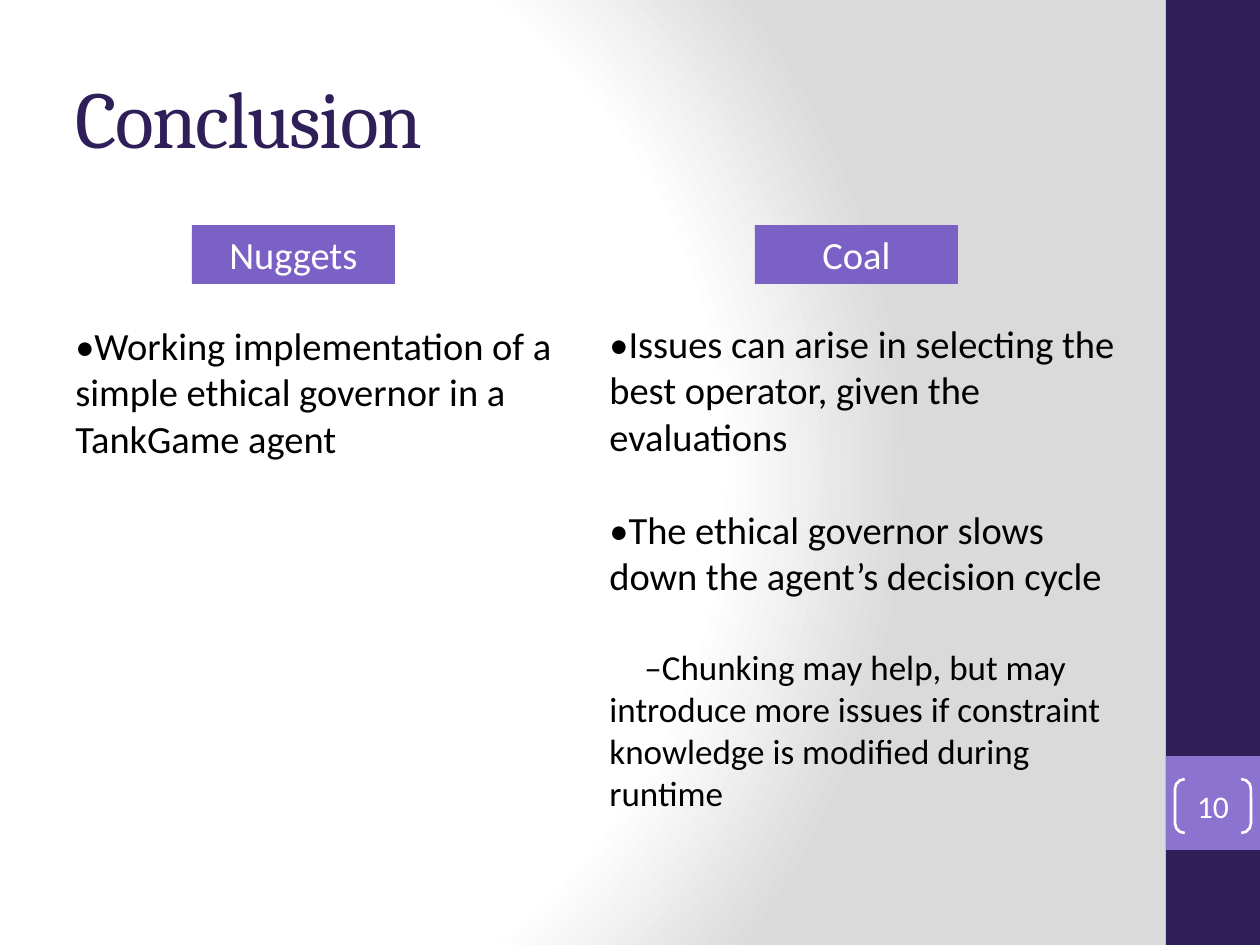
from pptx import Presentation
from pptx.dml.color import RGBColor
from pptx.enum.shapes import MSO_SHAPE as Shape
from pptx.enum.text import MSO_ANCHOR as Anchor, MSO_AUTO_SIZE as AutoSize, PP_ALIGN as Align
from pptx.oxml import parse_xml
from pptx.oxml.ns import nsdecls
from pptx.util import Emu, Pt

SCALE = 914400 / 126
WIDTH, HEIGHT = 1260, 945
DARK, MIDDLE, LIGHT, WHITE, BLACK = "2F1F58", "7B61C6", "8C73D0", "FFFFFF", "000000"
BACKDROP = [(0, WHITE), (75, WHITE), (100, "DADADA")]
BAR_LEFT, BAR_WIDTH, NUMBER_TOP = 1166, 94, 756
TAG_TOP, TAG_WIDTH, TAG_HEIGHT = 225, 203, 59

TITLE = "Conclusion"
PAGE_NUMBER = "10"
# Each point: text, size in points, first-line indent in px
COLUMNS = [
    {"tag": "Nuggets", "tag_left": 192, "box": (63, 316, 534, 152), "points": [
        ("•Working implementation of a simple ethical governor in a TankGame agent", 22, 0),
    ]},
    {"tag": "Coal", "tag_left": 755, "box": (597, 314, 548, 560), "points": [
        ("•Issues can arise in selecting the best operator, given the evaluations", 22, 0),
        ("•The ethical governor slows down the agent’s decision cycle", 22, 0),
        ("–Chunking may help, but may introduce more issues if constraint "
         "knowledge is modified during runtime", 20, 35),
    ]},
]
POINT_GAP = 27


def px(length):
    return Emu(round(length * SCALE))


def color(value):
    return RGBColor.from_string(value)


def write(para, text, size, ink, font="Calibri"):
    span = para.add_run()
    span.text = text
    for name, value in {"name": font, "size": Pt(size)}.items():
        setattr(span.font, name, value)
    span.font.color.rgb = color(ink)
    return span


def format_frame(frame, **formats):
    for name, value in {"word_wrap": True, "auto_size": AutoSize.NONE, **formats}.items():
        setattr(frame, name, value)


def add_block(page, kind, place, fill=None):
    block = page.shapes.add_shape(kind, *map(px, place))
    block.shadow.inherit = False
    block.line.fill.background()
    if fill:
        block.fill.solid()
        block.fill.fore_color.rgb = color(fill)
    else:
        block.fill.background()
    return block


def label(block, text, size, **formats):
    """Center one line of white text in a block."""
    format_frame(block.text_frame, **formats)
    para = block.text_frame.paragraphs[0]
    para.alignment = Align.CENTER
    write(para, text, size, WHITE)


def set_backdrop(page):
    """Radial gradient, which has no public method."""
    stops = "".join(f'<a:gs pos="{at * 1000}"><a:srgbClr val="{value}"/></a:gs>'
                    for at, value in BACKDROP)
    page.element.cSld.insert(0, parse_xml(
        f'<p:bg {nsdecls("p", "a")}><p:bgPr><a:gradFill rotWithShape="1">'
        f'<a:gsLst>{stops}</a:gsLst><a:path path="circle">'
        '<a:fillToRect l="20000" t="50000" r="100000" b="50000"/></a:path>'
        '</a:gradFill><a:effectLst/></p:bgPr></p:bg>'))


def add_title(page):
    title = page.shapes.title
    title.left, title.top, title.width, title.height = map(px, (63, 38, 1050, 157))
    format_frame(title.text_frame, vertical_anchor=Anchor.MIDDLE)
    para = title.text_frame.paragraphs[0]
    para.alignment = Align.LEFT
    span = write(para, TITLE, 46, DARK, "Cambria")
    span.font._element.set("spc", "-100")


def add_side_bar(page):
    add_block(page, Shape.RECTANGLE, (BAR_LEFT, 0, BAR_WIDTH, HEIGHT), DARK)
    add_block(page, Shape.RECTANGLE, (BAR_LEFT, NUMBER_TOP, BAR_WIDTH, BAR_WIDTH), LIGHT)
    bracket = add_block(page, Shape.DOUBLE_BRACKET, (1175, 779, 76, 54))
    bracket.adjustments[0] = 0.18
    bracket.line.color.rgb = color(WHITE)
    bracket.line.width = Pt(1.5)
    margins = {f"margin_{side}": 0 for side in ("left", "top", "right", "bottom")}
    label(bracket, PAGE_NUMBER, 18, vertical_anchor=Anchor.MIDDLE, **margins)


def add_column(page, column):
    box = page.shapes.add_textbox(*map(px, column["box"]))
    frame = box.text_frame
    format_frame(frame)
    for index, (text, size, indent) in enumerate(column["points"]):
        para = frame.add_paragraph() if index else frame.paragraphs[0]
        para.space_before = Pt(POINT_GAP if index else 0)
        if indent:
            para._p.get_or_add_pPr().set("indent", str(px(indent)))
        write(para, text, size, BLACK)
    tag = add_block(page, Shape.RECTANGLE,
                    (column["tag_left"], TAG_TOP, TAG_WIDTH, TAG_HEIGHT), MIDDLE)
    label(tag, column["tag"], 22, vertical_anchor=Anchor.TOP)


def main():
    deck = Presentation()
    deck.slide_width, deck.slide_height = px(WIDTH), px(HEIGHT)
    page = deck.slides.add_slide(deck.slide_layouts[5])
    set_backdrop(page)
    add_side_bar(page)
    add_title(page)
    for column in COLUMNS:
        add_column(page, column)
    deck.save("out.pptx")


if __name__ == "__main__":
    main()
